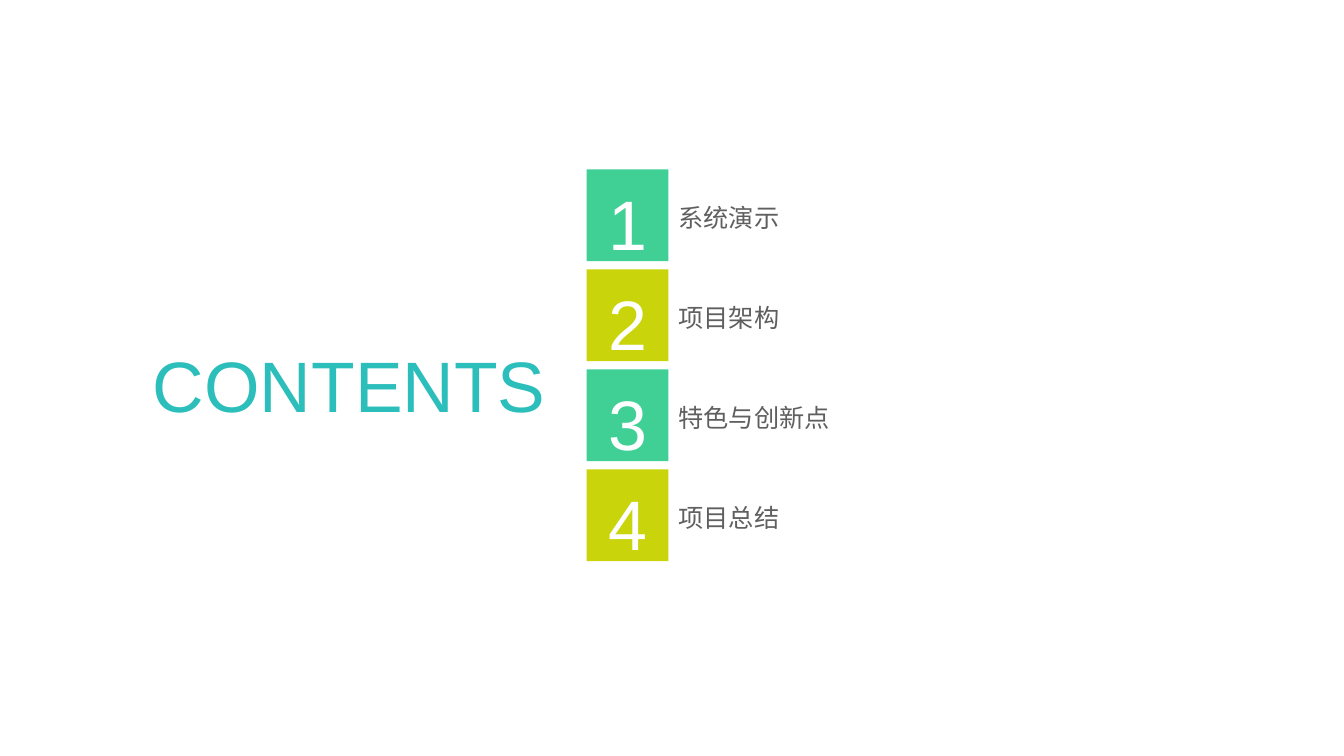
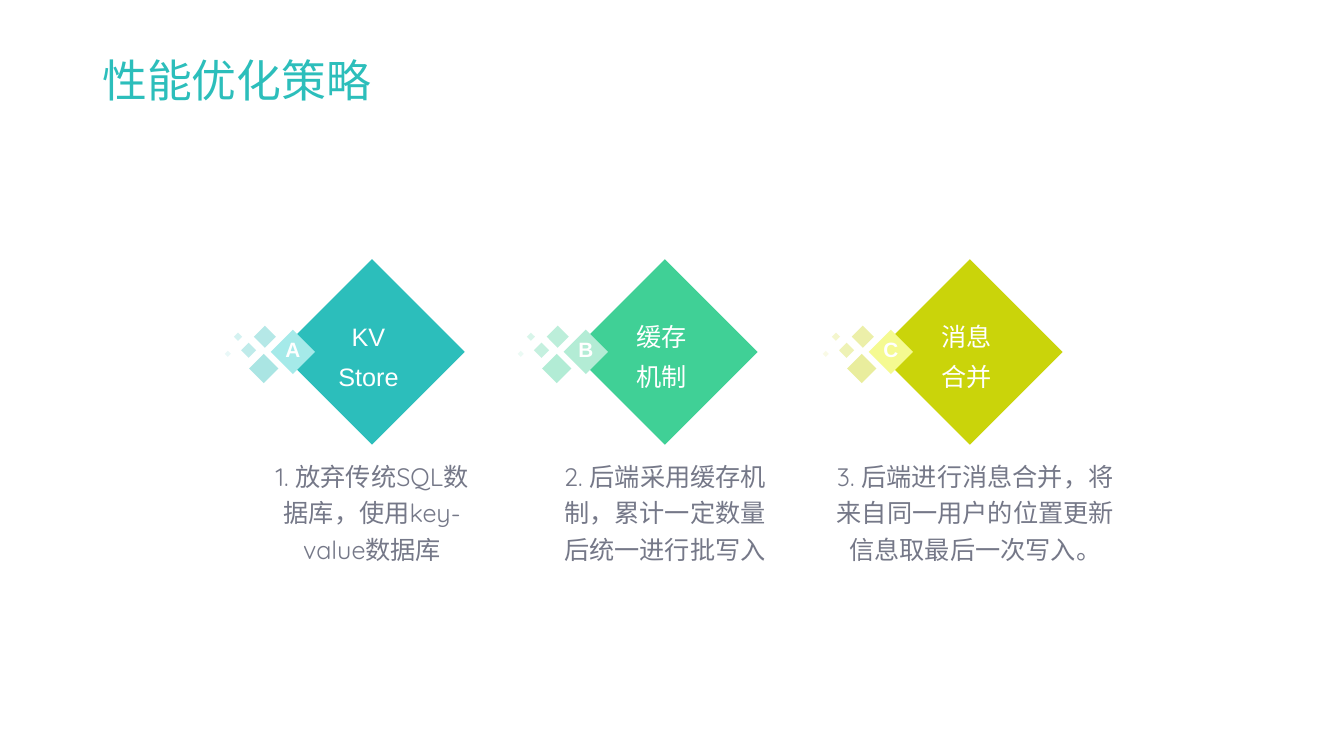
from dataclasses import dataclass
from typing import Optional, Union

from lxml.etree import SubElement
from pptx import Presentation
from pptx.dml.color import RGBColor
from pptx.enum.shapes import MSO_SHAPE
from pptx.enum.text import MSO_ANCHOR, PP_ALIGN
from pptx.oxml.ns import qn
from pptx.shapes.autoshape import Shape
from pptx.shapes.shapetree import GroupShapes, SlideShapes
from pptx.slide import Slide
from pptx.util import Length, Pt

COLORS = {
    "teal": "2CBEBB",
    "green": "40D096",
    "lime": "CAD40A",
    "pale_teal": "A5EAE9",
    "pale_green": "B3ECD5",
    "pale_lime": "F5FA91",
    "white": "FFFFFF",
    "label": "5F5F5F",
    "description": "757888",
}
Shapes = Union[SlideShapes, GroupShapes]


@dataclass(frozen=True)
class Box:
    left: float
    top: float
    width: float
    height: float

    def lengths(self) -> tuple[Length, ...]:
        return tuple(Pt(value) for value in (self.left, self.top, self.width, self.height))


@dataclass(frozen=True)
class TextStyle:
    size: float
    color: str
    font: str = "Arial"
    bold: bool = False
    align: PP_ALIGN = PP_ALIGN.CENTER
    anchor: MSO_ANCHOR = MSO_ANCHOR.TOP
    spacing: Optional[float] = None
    insets: tuple[float, float, float, float] = (7.2, 3.6, 7.2, 3.6)


@dataclass(frozen=True)
class Dot:
    offset: float
    top: float
    size: float
    opacity: int


@dataclass(frozen=True)
class Strategy:
    left: float
    letter: str
    name: tuple[str, str]
    description: str
    description_left: float
    description_width: float
    color: str
    pale_color: str


LARGE_INSETS = (7.2, 8, 7.2, 0)
NO_INSETS = (0, 0, 0, 0)
CONTENTS = TextStyle(51, "teal", insets=LARGE_INSETS)
NUMBER = TextStyle(50, "white", insets=LARGE_INSETS)
LABEL = TextStyle(18, "label", align=PP_ALIGN.LEFT, spacing=Pt(23))
TITLE = TextStyle(32, "teal", align=PP_ALIGN.LEFT, anchor=MSO_ANCHOR.MIDDLE, spacing=0.9)
NAME = TextStyle(18, "white", anchor=MSO_ANCHOR.MIDDLE, spacing=Pt(28.6), insets=(0, 0, 5, 0))
LETTER = TextStyle(14.8, "white", bold=True, anchor=MSO_ANCHOR.MIDDLE, spacing=0.8, insets=NO_INSETS)
DESCRIPTION = TextStyle(18, "description", font="Quicksand", spacing=1.2)

SECTIONS = ("系统演示", "项目架构", "特色与创新点", "项目总结")
SECTION_COLORS = ("green", "lime")
SECTION_TOP = 121
SECTION_STEP = 71.45

DIAMOND_TOP = 185.2
DIAMOND_SIZE = 132.5
DOTS = (
    Dot(-21.5, 252.8, 20.9, 40),
    Dot(-18.2, 232.6, 15.8, 35),
    Dot(-27.3, 244.8, 10.8, 30),
    Dot(-32.4, 237.6, 5.8, 20),
    Dot(-38.9, 250.6, 4.3, 10),
)
STRATEGIES = (
    Strategy(199.5, "A", ("KV", "Store"), "1. 放弃传统SQL数据库，使用key-value数据库",
             181.2, 169.2, "teal", "pale_teal"),
    Strategy(408.7, "B", ("缓存", "机制"), "2. 后端采用缓存机制，累计一定数量后统一进行批写入",
             390.4, 169.2, "green", "pale_green"),
    Strategy(626.6, "C", ("消息", "合并"), "3. 后端进行消息合并，将来自同一用户的位置更新信息取最后一次写入。",
             587.5, 218.2, "lime", "pale_lime"),
)


def write_text(shape: Shape, lines: tuple[str, ...], style: TextStyle) -> None:
    frame = shape.text_frame
    frame.word_wrap = True
    frame.vertical_anchor = style.anchor
    frame.margin_left, frame.margin_top, frame.margin_right, frame.margin_bottom = map(Pt, style.insets)
    frame.text = "\n".join(lines)
    for paragraph in frame.paragraphs:
        paragraph.alignment = style.align
        if style.spacing is not None:
            paragraph.line_spacing = style.spacing
        paragraph.font.name = style.font
        paragraph.font.size = Pt(style.size)
        paragraph.font.bold = style.bold
        paragraph.font.color.rgb = RGBColor.from_string(COLORS[style.color])


def add_text(shapes: Shapes, box: Box, text: str, style: TextStyle) -> None:
    write_text(shapes.add_textbox(*box.lengths()), (text,), style)


def add_filled(shapes: Shapes, kind: MSO_SHAPE, box: Box, color: str, opacity: int = 100) -> Shape:
    shape = shapes.add_shape(kind, *box.lengths())
    shape.shadow.inherit = False
    shape.line.fill.background()
    shape.fill.solid()
    shape.fill.fore_color.rgb = RGBColor.from_string(COLORS[color])
    if opacity < 100:
        color_element = shape.fill._xPr.find(qn("a:solidFill"))[0]
        SubElement(color_element, qn("a:alpha"), val=str(opacity * 1000))
    return shape


def add_section(slide: Slide, index: int, label: str) -> None:
    shapes = slide.shapes.add_group_shape().shapes
    top = SECTION_TOP + index * SECTION_STEP
    color = SECTION_COLORS[index % len(SECTION_COLORS)]
    square = add_filled(shapes, MSO_SHAPE.RECTANGLE, Box(419, top, 58.5, 65.5), color)
    write_text(square, (str(index + 1),), NUMBER)
    add_text(shapes, Box(477.5, top + 18.7, 395, 30.2), label, LABEL)


def add_strategy(slide: Slide, strategy: Strategy) -> None:
    shapes = slide.shapes.add_group_shape().shapes
    diamond_box = Box(strategy.left, DIAMOND_TOP, DIAMOND_SIZE, DIAMOND_SIZE)
    diamond = add_filled(shapes, MSO_SHAPE.DIAMOND, diamond_box, strategy.color)
    write_text(diamond, strategy.name, NAME)
    description_box = Box(strategy.description_left, 321.8, strategy.description_width, 85.7)
    add_text(shapes, description_box, strategy.description, DESCRIPTION)
    badge_box = Box(strategy.left - 6.1, 235.5, 31.7, 31.7)
    badge = add_filled(shapes, MSO_SHAPE.DIAMOND, badge_box, strategy.pale_color)
    write_text(badge, (strategy.letter,), LETTER)
    for dot in DOTS:
        dot_box = Box(strategy.left + dot.offset, dot.top, dot.size, dot.size)
        add_filled(shapes, MSO_SHAPE.DIAMOND, dot_box, strategy.color, dot.opacity)


def main() -> None:
    presentation = Presentation()
    presentation.slide_width = Pt(960)
    presentation.slide_height = Pt(540)
    blank = presentation.slide_layouts[6]

    contents = presentation.slides.add_slide(blank)
    add_text(contents.shapes, Box(89.3, 235.4, 320.4, 79.9), "CONTENTS", CONTENTS)
    for index, label in enumerate(SECTIONS):
        add_section(contents, index, label)

    optimization = presentation.slides.add_slide(blank)
    for strategy in STRATEGIES:
        add_strategy(optimization, strategy)
    add_text(optimization.shapes, Box(66, 31, 828, 57), "性能优化策略", TITLE)

    presentation.save("out.pptx")


if __name__ == "__main__":
    main()
